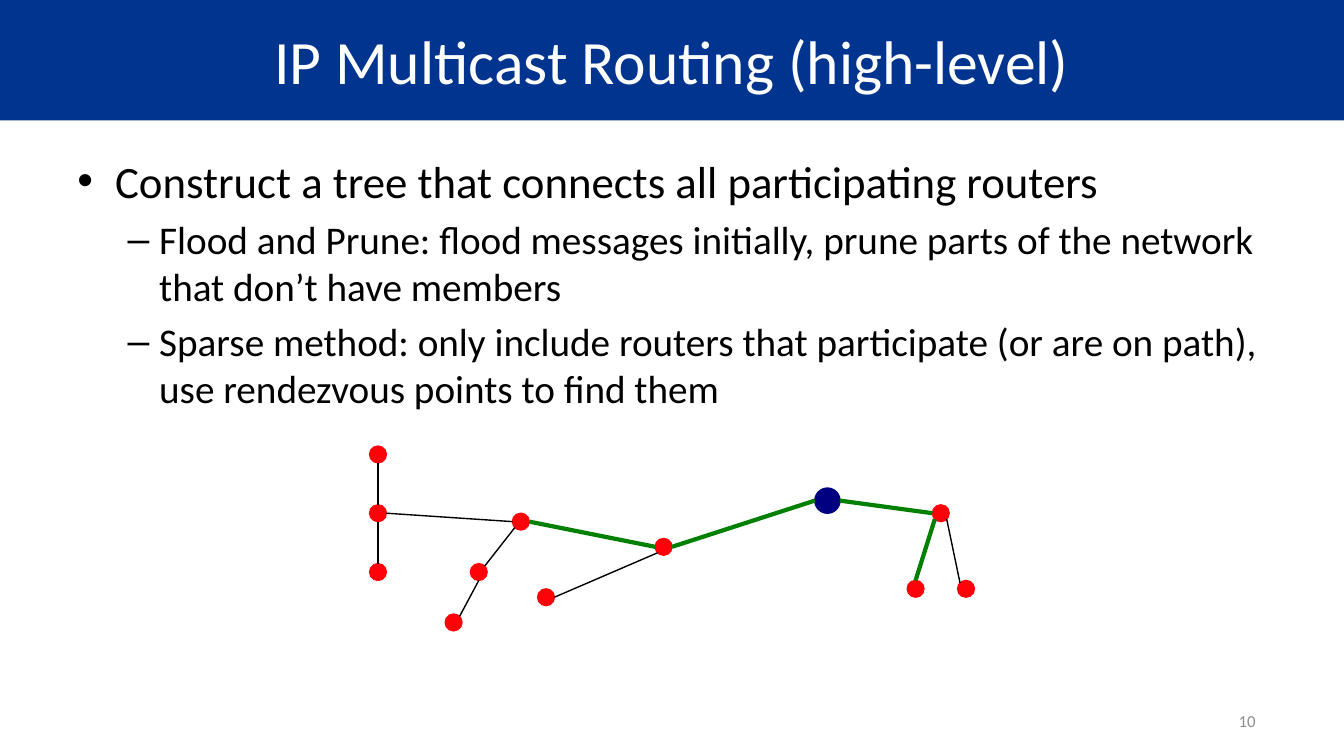
from math import cos, radians, sin

from lxml.etree import SubElement
from pptx import Presentation
from pptx.dml.color import RGBColor
from pptx.enum.shapes import MSO_CONNECTOR, MSO_SHAPE
from pptx.enum.text import MSO_ANCHOR, MSO_AUTO_SIZE, PP_ALIGN
from pptx.oxml.ns import qn
from pptx.util import Pt

COLORS = {
    "banner": "00348F", "white": "FFFFFF", "black": "000000", "number": "8C8C8C",
    "router": "FF0109", "rendezvous": "000080", "tree": "008000",
}
BULLETS = [
    (0, "Construct a tree that connects all participating routers"),
    (1, "Flood and Prune: flood messages initially, prune parts of the network "
        "that don’t have members"),
    (1, "Sparse method: only include routers that participate (or are on path), "
        "use rendezvous points to find them"),
]
LEVEL_SIZES = [32, 28]
DIAMETERS = {"router": 12, "rendezvous": 18}
ROUTERS = {
    "west_top": (6, 6, "router"),
    "west": (6, 48, "router"),
    "west_bottom": (6, 90, "router"),
    "fork": (108, 54, "router"),
    "fork_child": (78, 90, "router"),
    "fork_leaf": (60, 126, "router"),
    "middle": (210, 72, "router"),
    "middle_leaf": (126, 108, "router"),
    "root": (327, 39, "rendezvous"),
    "east": (408, 48, "router"),
    "east_member": (390, 102, "router"),
    "east_leaf": (426, 102, "router"),
}
RIGHT, LOWER_RIGHT, BOTTOM, LOWER_LEFT, LEFT, UPPER_LEFT, TOP, UPPER_RIGHT = range(0, 360, 45)
LINKS = [
    ("west", RIGHT, "fork", LEFT, "black"),
    ("fork", RIGHT, "middle", LEFT, "tree"),
    ("middle", RIGHT, "root", LEFT, "tree"),
    ("root", RIGHT, "east", LEFT, "tree"),
    ("east", LOWER_LEFT, "east_member", TOP, "tree"),
    ("east", LOWER_RIGHT, "east_leaf", UPPER_LEFT, "black"),
    ("fork_child", BOTTOM, "fork_leaf", UPPER_RIGHT, "black"),
    ("fork", LOWER_LEFT, "fork_child", UPPER_RIGHT, "black"),
    ("middle", LOWER_LEFT, "middle_leaf", RIGHT, "black"),
    ("west", BOTTOM, "west_bottom", TOP, "black"),
    ("west_top", BOTTOM, "west", TOP, "black"),
]
LINK_WIDTHS = {"black": 1, "tree": 3}


def color(name):
    """Return the named colour."""
    return RGBColor.from_string(COLORS[name])


def apply(target, **values):
    """Set each given attribute on the target."""
    for name, value in values.items():
        setattr(target, name, value)


def place(shape, box):
    """Move and size a shape to a box given in points."""
    left, top, width, height = map(Pt, box)
    apply(shape, left=left, top=top, width=width, height=height)


def write(para, text, size, color_name):
    """Add one formatted span to a paragraph."""
    span = para.add_run()
    span.text = text
    apply(span.font, name="Calibri", size=Pt(size))
    span.font.color.rgb = color(color_name)


def add_title(page, box):
    """Fill the title placeholder as a banner."""
    title = page.shapes.title
    place(title, box)
    title.fill.solid()
    title.fill.fore_color.rgb = color("banner")
    apply(title.text_frame, word_wrap=True, auto_size=MSO_AUTO_SIZE.NONE,
          vertical_anchor=MSO_ANCHOR.MIDDLE)
    para = title.text_frame.paragraphs[0]
    para.alignment = PP_ALIGN.CENTER
    write(para, "IP Multicast Routing (high-level)", 44, "white")


def add_body(page, box):
    """Fill the body placeholder with the two-level list."""
    body = page.placeholders[1]
    place(body, box)
    frame = body.text_frame
    apply(frame, word_wrap=True, auto_size=MSO_AUTO_SIZE.NONE)
    for index, (level, text) in enumerate(BULLETS):
        para = frame.add_paragraph() if index else frame.paragraphs[0]
        para.level = level
        if index == 0:
            para.space_before = Pt(0)
        write(para, text, LEVEL_SIZES[level], "black")


def add_page_number(page, box):
    """Write the page number at the right of its box."""
    frame = page.shapes.add_textbox(*map(Pt, box)).text_frame
    apply(frame, word_wrap=True, vertical_anchor=MSO_ANCHOR.MIDDLE)
    para = frame.paragraphs[0]
    para.alignment = PP_ALIGN.RIGHT
    write(para, "10", 12, "number")


def rim_point(router, angle, left, top):
    """Return the point on a router's rim at an angle."""
    x, y, kind = ROUTERS[router]
    radius = DIAMETERS[kind] / 2
    return (Pt(left + x + radius * cos(radians(angle))),
            Pt(top + y + radius * sin(radians(angle))))


def add_network(page, box):
    """Draw the routers and links as one group in the box."""
    left, top = box[:2]
    network = page.shapes.add_group_shape()
    for x, y, kind in ROUTERS.values():
        size = DIAMETERS[kind]
        dot = network.shapes.add_shape(
            MSO_SHAPE.FLOWCHART_CONNECTOR, Pt(left + x - size / 2),
            Pt(top + y - size / 2), Pt(size), Pt(size))
        dot.shadow.inherit = False
        dot.fill.solid()
        dot.fill.fore_color.rgb = color(kind)
        dot.line.color.rgb = color(kind)
        dot.line.width = Pt(1)
    for start, start_angle, end, end_angle, kind in LINKS:
        link = network.shapes.add_connector(
            MSO_CONNECTOR.STRAIGHT, *rim_point(start, start_angle, left, top),
            *rim_point(end, end_angle, left, top))
        link.line.color.rgb = color(kind)
        link.line.width = Pt(LINK_WIDTHS[kind])
        SubElement(link._element.spPr, qn("a:effectLst"))


def main():
    """Build and save the deck."""
    deck = Presentation()
    apply(deck, slide_width=Pt(960), slide_height=Pt(540))
    page = deck.slides.add_slide(deck.slide_layouts[1])
    add_title(page, (0, 0, 960, 86))
    add_body(page, (48, 106, 864, 376))
    add_page_number(page, (804, 500.5, 100, 28.8))
    add_network(page, (264, 318.6, 432, 132))
    deck.save("out.pptx")


if __name__ == "__main__":
    main()
